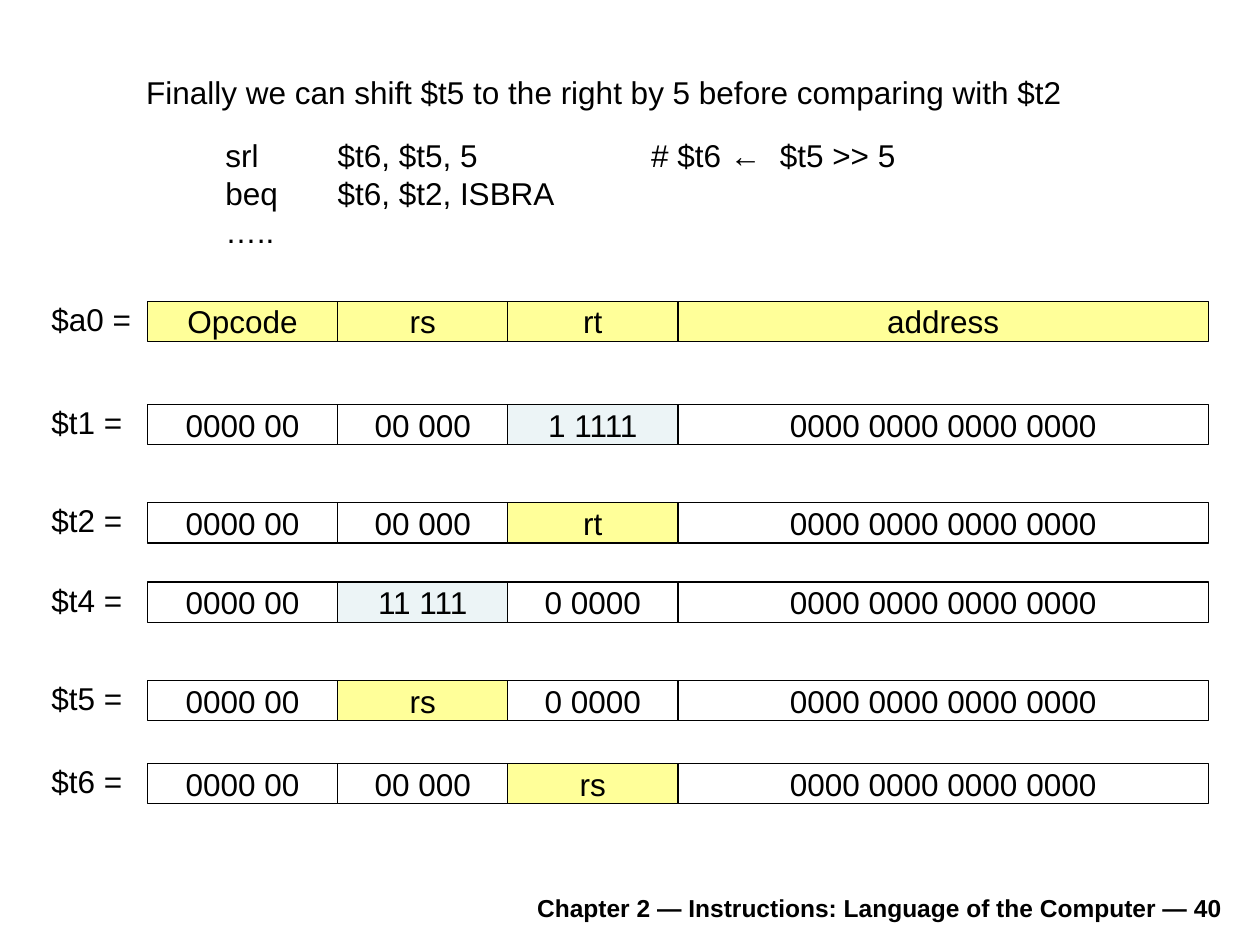
from dataclasses import dataclass

from lxml.etree import SubElement
from pptx import Presentation
from pptx.dml.color import RGBColor
from pptx.enum.shapes import MSO_SHAPE
from pptx.enum.text import MSO_ANCHOR, PP_ALIGN
from pptx.oxml.ns import qn
from pptx.util import Inches, Pt


@dataclass(frozen=True)
class Theme:
    font: str = "Arial"
    ink: str = "000000"
    plain: str = "FFFFFF"
    field: str = "FFFF99"
    mask: str = "ECF4F6"
    body: int = 18
    footer: int = 14
    line: float = 0.75


THEME = Theme()

LABEL_X, FIELD_X = 0.31, 1.17
FIELD_WIDTHS = (1.51, 1.35, 1.35, 4.21)
FIELD_HEIGHT = 0.32
ZEROS = ("0000 00", "00 000", "0 0000", "0000 0000 0000 0000")

# Register, top, and the fields that differ from zero: {index: (text, fill)}
REGISTERS = [
    ("$a0 =", 2.39, {i: (name, THEME.field) for i, name in
                     enumerate(("Opcode", "rs", "rt", "address"))}),
    ("$t1 =", 3.21, {2: ("1 1111", THEME.mask)}),
    ("$t2 =", 3.99, {2: ("rt", THEME.field)}),
    ("$t4 =", 4.62, {1: ("11 111", THEME.mask)}),
    ("$t5 =", 5.40, {1: ("rs", THEME.field)}),
    ("$t6 =", 6.06, {2: ("rs", THEME.field)}),
]

CODE = [
    "srl\t$t6, $t5, 5\t# $t6 ←\t$t5 >> 5",
    "beq\t$t6, $t2, ISBRA",
    "…..",
]
CODE_TABS = (0.89, 3.38, 4.4)


def write(sp, *lines, size=THEME.body, bold=False, align=PP_ALIGN.LEFT,
          anchor=MSO_ANCHOR.TOP, wrap=False, tabs=()):
    """Fill a shape with one paragraph per line."""
    tf = sp.text_frame
    tf.word_wrap = wrap
    tf.vertical_anchor = anchor
    for i, line in enumerate(lines):
        p = tf.add_paragraph() if i else tf.paragraphs[0]
        p.alignment = align
        if tabs:
            tab_list = SubElement(p._p.get_or_add_pPr(), qn("a:tabLst"))
            for pos in tabs:
                SubElement(tab_list, qn("a:tab"), pos=str(Inches(pos)), algn="l")
        r = p.add_run()
        r.text = line
        r.font.name = THEME.font
        r.font.size = Pt(size)
        r.font.bold = bold
        r.font.color.rgb = RGBColor.from_string(THEME.ink)


def add_heading(s, x, y, w, h):
    sp = s.shapes.title
    sp.left, sp.top, sp.width, sp.height = map(Inches, (x, y, w, h))
    write(sp, "Finally we can shift $t5 to the right by 5 before comparing with $t2")


def add_code(s, x, y, w, h):
    sp = s.shapes.add_textbox(*map(Inches, (x, y, w, h)))
    write(sp, *CODE, tabs=CODE_TABS)


def add_footer(s, x, y, w, h):
    sp = s.shapes.add_textbox(*map(Inches, (x, y, w, h)))
    write(sp, "Chapter 2 — Instructions: Language of the Computer — 40",
          size=THEME.footer, bold=True, align=PP_ALIGN.RIGHT,
          anchor=MSO_ANCHOR.BOTTOM, wrap=True)


def add_field(shapes, text, fill, x, y, w, h):
    sp = shapes.add_shape(MSO_SHAPE.RECTANGLE, *map(Inches, (x, y, w, h)))
    sp.shadow.inherit = False
    sp.fill.solid()
    sp.fill.fore_color.rgb = RGBColor.from_string(fill)
    sp.line.color.rgb = RGBColor.from_string(THEME.ink)
    sp.line.width = Pt(THEME.line)
    write(sp, text, align=PP_ALIGN.CENTER, anchor=MSO_ANCHOR.MIDDLE)


def add_register(s, label, values, x, y, h):
    """One group: the bit fields from x rightwards, and the label on their left."""
    shapes = s.shapes.add_group_shape().shapes
    label_width = x - LABEL_X
    for i, w in enumerate(FIELD_WIDTHS):
        text, fill = values.get(i, (ZEROS[i], THEME.plain))
        add_field(shapes, text, fill, x, y, w, h)
        x += w
    sp = shapes.add_textbox(*map(Inches, (LABEL_X, y - 0.06, label_width, 0.4)))
    write(sp, label)


def main():
    prs = Presentation()
    prs.slide_width, prs.slide_height = Inches(10), Inches(7.5)
    s = prs.slides.add_slide(prs.slide_layouts[5])  # Title Only

    add_heading(s, 1.06, 0.53, 7.47, 0.4)
    add_code(s, 1.69, 1.03, 5.52, 1)
    for label, y, values in REGISTERS:
        add_register(s, label, values, FIELD_X, y, FIELD_HEIGHT)
    add_footer(s, 1.85, 6.98, 7.95, 0.39)

    prs.save("out.pptx")


if __name__ == "__main__":
    main()
